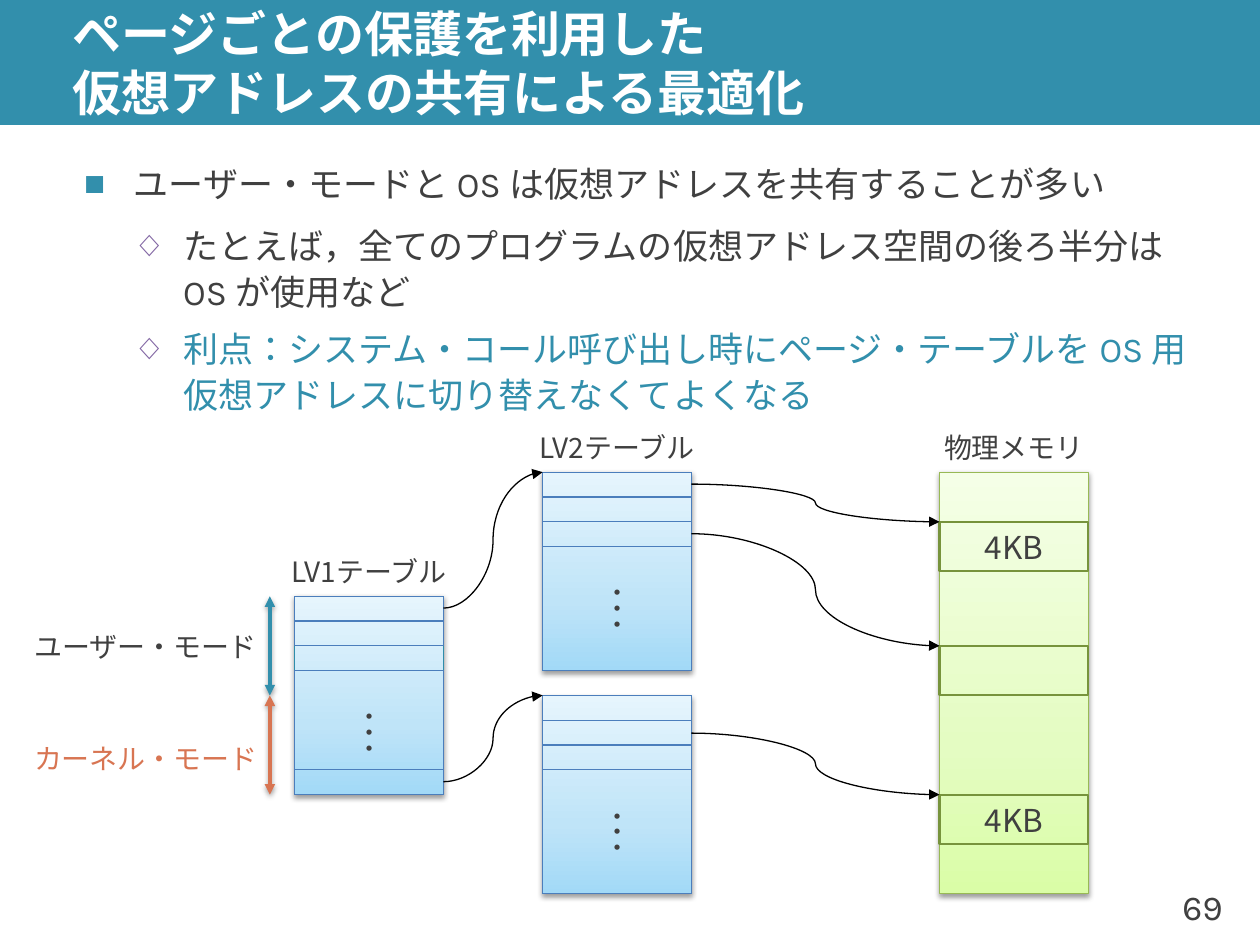
from lxml.etree import SubElement
from pptx import Presentation
from pptx.dml.color import RGBColor
from pptx.enum.lang import MSO_LANGUAGE_ID as LANG
from pptx.enum.shapes import MSO_CONNECTOR as CONN, MSO_SHAPE as SHAPE
from pptx.enum.text import MSO_ANCHOR as ANCHOR, MSO_AUTO_SIZE as AUTO, PP_ALIGN as ALIGN
from pptx.oxml.ns import qn
from pptx.util import Emu, Inches, Pt

COLORS = {
    "teal": "328FAC", "orange": "D87552", "text": "404040", "white": "FFFFFF",
    "black": "000000", "purple": "8064A2", "table": "2E8DAB", "entry": "4B7EBC",
    "memory": "98B955", "page": "77933C",
}
BLUES = ("A2D9F7", "BFE4F8", "E6F5FD")
GREENS = ("DAFDA7", "E4FCC2", "F5FFE7")
LATIN, CJK = "Karla", "Noto Sans CJK JP"
PX = 7200  # EMU per px: 0.2 mm, so the 5 mm grid step is 25 px
STEP = 25
HALF = STEP // 2
COL_W = 6 * STEP
TABLE_H = 8 * STEP


def px(*lengths):
    return [Emu(n * PX) for n in lengths]


def rgb(name):
    return RGBColor.from_string(COLORS[name])


def child(parent, tag, **attrs):
    return SubElement(parent, qn(tag), {k: str(v) for k, v in attrs.items()})


class Deck:
    def __init__(self):
        self.prs = Presentation()
        self.prs.slide_width, self.prs.slide_height = Inches(10), Inches(7.5)
        self.slide = self.prs.slides.add_slide(self.prs.slide_layouts[1])
        self.shapes = self.slide.shapes

    def run(self, p, text, size, color="text", font=CJK, bold=False):
        r = p.add_run()
        r.text = text
        r.font.size, r.font.bold, r.font.name = Pt(size), bold, font
        r.font.language_id = LANG.JAPANESE
        r.font.color.rgb = rgb(color)
        child(r.font._element, "a:ea", typeface=font)

    def place(self, sp, box):
        sp.left, sp.top, sp.width, sp.height = px(*box)
        tf = sp.text_frame
        tf.auto_size, tf.word_wrap = AUTO.NONE, True
        tf.vertical_anchor = ANCHOR.MIDDLE
        return tf

    def title(self, box, lines):
        tf = self.place(self.shapes.title, box)
        tf.margin_top = tf.margin_bottom = 0
        p = tf.paragraphs[0]
        p.alignment = ALIGN.LEFT
        for i, line in enumerate(lines):
            if i:
                p.add_line_break()
            self.run(p, line, 28, "white", LATIN, True)

    def bullets(self, box, items):
        tf = self.place(self.slide.placeholders[1], box)
        for i, (level, text, color) in enumerate(items):
            p = tf.paragraphs[0] if i == 0 else tf.add_paragraph()
            p.level, p.line_spacing = level, 1.1
            before, after = (3, 3) if level else (24, 6)
            p.space_before, p.space_after = Pt(before), Pt(after)
            pPr = p._p.get_or_add_pPr()
            pPr.set("marL", str(2 * STEP * (level + 1) * PX))
            pPr.set("indent", str(-2 * STEP * PX))
            bu_color = child(pPr, "a:buClr")
            child(bu_color, "a:srgbClr", val=COLORS["purple" if level else "teal"])
            child(pPr, "a:buSzPct", val=90000 if level else 100000)
            child(pPr, "a:buChar", char="◇" if level else "■")
            self.run(p, text, 20, color, LATIN)

    def label(self, box, text, size=16, color="text", font=CJK, align=ALIGN.CENTER):
        self.caption(self.rect(box), text, size, color, font, align)

    def caption(self, sp, text, size=18, color="text", font=CJK, align=ALIGN.CENTER):
        tf = sp.text_frame
        tf.word_wrap, tf.vertical_anchor = False, ANCHOR.MIDDLE
        p = tf.paragraphs[0]
        p.alignment = align
        self.run(p, text, size, color, font)

    def rect(self, box, fill=None, line=None, width=0.75):
        sp = self.shapes.add_shape(SHAPE.RECTANGLE, *px(*box))
        sp.shadow.inherit = False
        if fill:
            sp.fill.solid()
            sp.fill.fore_color.rgb = rgb(fill)
        else:
            sp.fill.background()
        if line:
            sp.line.color.rgb, sp.line.width = rgb(line), Pt(width)
        else:
            sp.line.fill.background()
        return sp

    def shadow(self, effects):
        outer = child(effects, "a:outerShdw", blurRad=Pt(3.1), dist=Pt(1.6),
                      dir=5400000, rotWithShape=0)
        child(child(outer, "a:srgbClr", val=COLORS["black"]), "a:alpha", val=38000)

    def panel(self, box, shades, line):
        sp = self.rect(box, line=line)
        sp.fill.gradient()
        sp.fill.gradient_angle = 90
        spPr = sp._element.spPr
        stops = spPr.find(qn("a:gradFill")).find(qn("a:gsLst"))
        for old in list(stops):
            stops.remove(old)
        for pos, shade in zip((0, 35, 100), shades):
            child(child(stops, "a:gs", pos=pos * 1000), "a:srgbClr", val=shade)
        self.shadow(spPr.find(qn("a:effectLst")))

    def page_table(self, x, y, entry_rows):
        self.panel((x, y, COL_W, TABLE_H), BLUES, "table")
        for row in entry_rows:
            self.rect((x, y + row * STEP, COL_W, STEP), line="entry")
        rest = self.rect((x, y + 3 * STEP, COL_W, 5 * STEP), line="entry")
        rest.text_frame._txBody.bodyPr.set("vert", "vert270")
        self.caption(rest, "･･･")

    def arrow(self, start, end, color="black", width=0.75, kind=CONN.CURVE, both=False):
        c = self.shapes.add_connector(kind, *px(*start, *end))
        c.line.color.rgb, c.line.width = rgb(color), Pt(width)
        spPr = c._element.spPr
        ln = spPr.find(qn("a:ln"))
        if both:
            child(ln, "a:headEnd", type="triangle")
        child(ln, "a:tailEnd", type="triangle")
        effects = child(spPr, "a:effectLst")
        if both:
            self.shadow(effects)


def main():
    d = Deck()

    # Title band, title, list and page number
    band = d.rect((0, 0, 1270, 126), fill="teal")
    d.shapes._spTree.insert(2, band._element)
    d.title((60, 0, 1210, 126), ["ページごとの保護を利用した", "仮想アドレスの共有による最適化"])
    d.bullets((72, 164, 1151, 250), [
        (0, "ユーザー・モードと OS は仮想アドレスを共有することが多い", "text"),
        (1, "たとえば，全てのプログラムの仮想アドレス空間の後ろ半分はOS が使用など", "text"),
        (1, "利点：システム・コール呼び出し時にページ・テーブルを OS 用仮想アドレスに"
            "切り替えなくてよくなる", "teal"),
    ])
    d.label((1160, 876, 85, 76), "69", 20, font=LATIN, align=ALIGN.RIGHT)

    # Page tables and physical memory
    lv1_x, lv2_x, mem_x = 297, 547, 947
    top = 476
    lv1_y, kernel_y = top + 5 * STEP, top + 9 * STEP
    d.page_table(lv1_x, lv1_y, (0, 1, 7))
    for y in (top, kernel_y):
        d.page_table(lv2_x, y, (0, 1, 2))
    d.panel((mem_x, top, COL_W, 17 * STEP), GREENS, "memory")
    pages = [top + row * STEP for row in (2, 7, 13)]
    for y, text in zip(pages, ("4KB", None, "4KB")):
        page = d.rect((mem_x, y, COL_W, 2 * STEP), line="page", width=1.25)
        if text:
            d.caption(page, text)

    # Links from entries to tables and pages
    for row, y in ((0, top), (7, kernel_y)):
        d.arrow((lv1_x + COL_W, lv1_y + row * STEP + HALF), (lv2_x, y))
    for y, offset, page_y in zip((top, top, kernel_y), (12, 62, 38), pages):
        d.arrow((lv2_x + COL_W, y + offset), (mem_x, page_y))

    # Column headings
    for x, y, text in ((lv1_x, lv1_y, "LV1テーブル"), (lv2_x, top, "LV2テーブル"),
                       (mem_x, top, "物理メモリ")):
        d.label((x + STEP, y - 2 * STEP, 4 * STEP, 2 * STEP), text)

    # User and kernel halves of the first table
    half = TABLE_H // 2
    for y, gap, text, color, ink in (
            (lv1_y, 25, "ユーザー・モード", "teal", "text"),
            (kernel_y, 38, "カーネル・モード", "orange", "orange")):
        d.arrow((lv1_x - STEP, y + half), (lv1_x - STEP, y), color, 2, CONN.STRAIGHT, True)
        d.label((97, y + gap, 4 * STEP, 2 * STEP), text, color=ink)

    d.prs.save("out.pptx")


if __name__ == "__main__":
    main()
